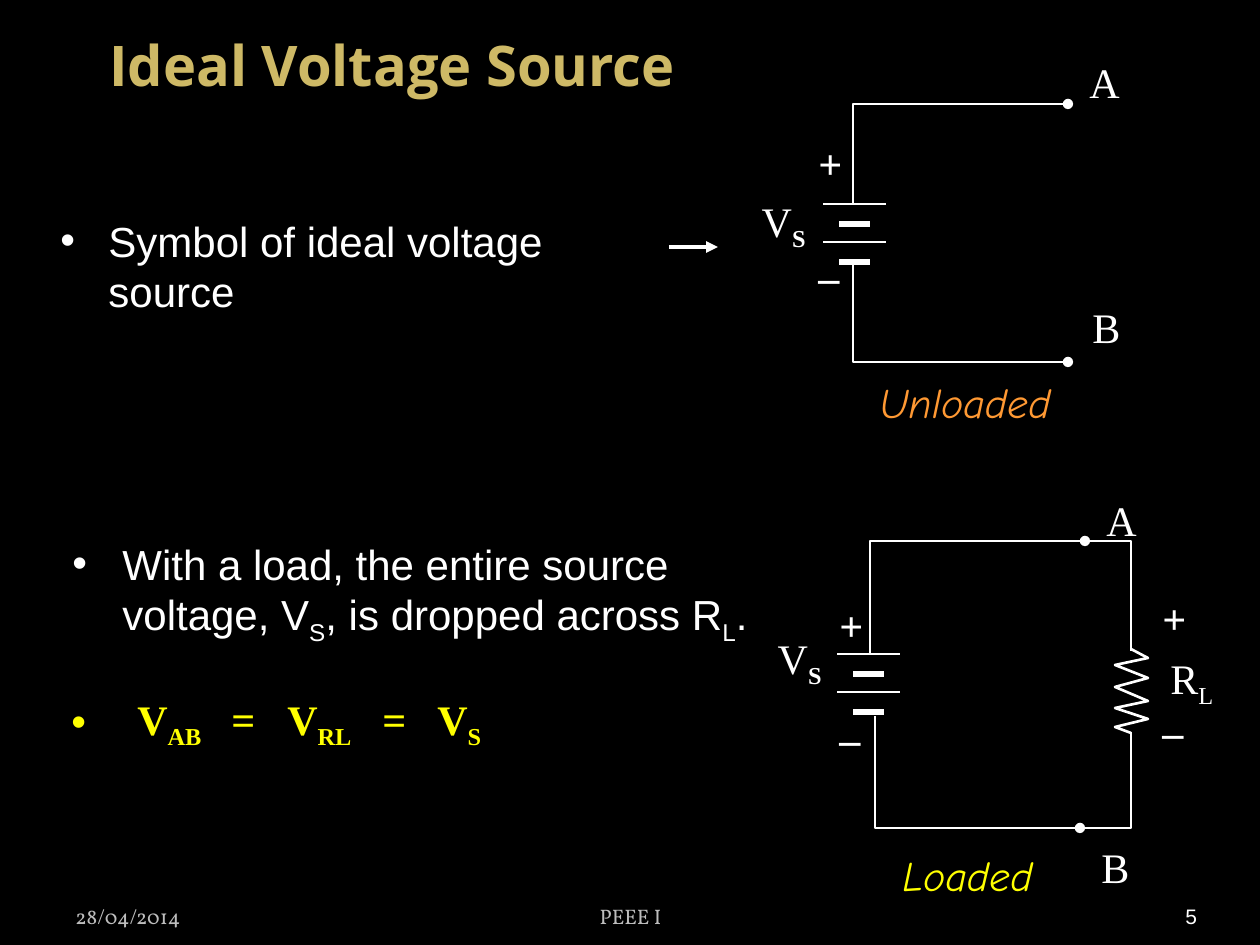
"""Build a slide on the ideal voltage source, unloaded and loaded."""
from lxml import etree
from pptx import Presentation
from pptx.dml.color import RGBColor
from pptx.enum.shapes import MSO_CONNECTOR
from pptx.enum.text import MSO_ANCHOR, PP_ALIGN
from pptx.oxml.ns import qn
from pptx.util import Pt

PX = 914400 // 126
STRAIGHT = MSO_CONNECTOR.STRAIGHT
TOP, MIDDLE, BOTTOM = MSO_ANCHOR.TOP, MSO_ANCHOR.MIDDLE, MSO_ANCHOR.BOTTOM
LEFT, CENTER, RIGHT = PP_ALIGN.LEFT, PP_ALIGN.CENTER, PP_ALIGN.RIGHT
WHITE, YELLOW, GREY = "FFFFFF", "FFFF00", "BDBDBD"
SERIF = {"name": "Times New Roman", "size": Pt(24)}
SANS = {"name": "Arial", "size": Pt(24)}
CAPTION = {"name": "Comic Neue", "size": Pt(24), "italic": True}
FOOTER = {"name": "Vollkorn", "size": Pt(12)}
BOLD = {"bold": True}
SUB = {"sub": True}

deck = Presentation()
deck.slide_width, deck.slide_height = 1260 * PX, 945 * PX
page = deck.slides.add_slide(deck.slide_layouts[6])
page.background.fill.solid()
page.background.fill.fore_color.rgb = RGBColor.from_string("000000")


def add_text(place, lines, font, color=WHITE, align=LEFT, anchor=TOP, wrap=True, gap=0):
    """Add a text box whose lines are lists of (text, format) pairs."""
    box = page.shapes.add_textbox(*(value * PX for value in place))
    frame = box.text_frame
    frame.word_wrap, frame.vertical_anchor = wrap, anchor
    for number, spans in enumerate(lines):
        para = frame.paragraphs[0] if number == 0 else frame.add_paragraph()
        para.alignment = align
        if number:
            para.space_before = Pt(gap)
        for text, extra in spans:
            span = para.add_run()
            span.text = text
            span.font.color.rgb = RGBColor.from_string(color)
            values = {**font, **extra}
            if values.pop("sub", False):
                span.font._element.set("baseline", "-25000")
            for name, value in values.items():
                setattr(span.font, name, value)
    return box


def add_line(points, width=1.5, end=None):
    """Draw a straight connector or a bent open wire through the points."""
    if len(points) == 2:
        (x1, y1), (x2, y2) = points
        shape = page.shapes.add_connector(STRAIGHT, x1 * PX, y1 * PX, x2 * PX, y2 * PX)
    else:
        builder = page.shapes.build_freeform(*points[0], scale=PX)
        builder.add_line_segments(points[1:], close=False)
        shape = builder.convert_to_shape()
        shape.fill.background()
    shape.line.color.rgb = RGBColor.from_string(WHITE)
    shape.line.width = Pt(width)
    if end:
        etree.SubElement(shape.line._ln, qn("a:tailEnd"), type=end)
    etree.SubElement(shape._element.spPr, qn("a:effectLst"))


add_text((44, 1, 697, 127), [[("Ideal Voltage Source", BOLD)]],
         {"name": "Open Sans", "size": Pt(32)}, "CEB966", CENTER, MIDDLE)

symbol = add_text((48, 209, 615, 115), [[("Symbol of ideal voltage source", {})]], SANS)
load = add_text((60, 532, 701, 120), [[
    ("With a load, the entire source voltage, V", {}), ("S", SUB),
    (", is dropped across R", {}), ("L", SUB), (".", {})]], SANS)
equation = add_text((59, 687, 701, 63), [[
    ("\tV", {}), ("AB", SUB), ("\t=\tV", {}), ("RL", SUB),
    ("\t=\tV", {}), ("S", SUB)]], {**SERIF, **BOLD}, YELLOW)

for box, indent, stops in ((symbol, 48, ()), (load, 50, ()),
                           (equation, 0, (66, 160, 216, 311, 366))):
    settings = box.text_frame.paragraphs[0]._p.get_or_add_pPr()
    settings.set("marL", str(indent * PX))
    settings.set("indent", str(-indent * PX))
    etree.SubElement(settings, qn("a:buFont"), typeface="Arial")
    etree.SubElement(settings, qn("a:buChar"), char="•")
    if stops:
        tabs = etree.SubElement(settings, qn("a:tabLst"))
        for stop in stops:
            etree.SubElement(tabs, qn("a:tab"), pos=str(stop * PX), algn="l")

add_line([(669, 247), (718, 247)], 2.25, "triangle")

for left, top in ((823, 204), (837, 654)):
    for step, (inset, width) in zip((0, 20, 38, 58), ((0, 1.5), (16, 3)) * 2):
        add_line([(left + 63 - inset, top + step), (left + inset, top + step)], width)

for wire in ([(853, 203), (853, 104), (1068, 104)],
             [(853, 264), (853, 362), (1068, 362)],
             [(870, 655), (870, 541), (1085, 541)],
             [(875, 716), (875, 828), (1080, 828)]):
    add_line(wire, end="oval")

add_line([(1064, 541), (1131, 541), (1131, 651)])
add_line([(1064, 828), (1131, 828), (1131, 732)])
add_line([(1131, 733), (1115, 727), (1148, 719), (1115, 708), (1148, 701),
          (1115, 687), (1148, 678), (1115, 665), (1148, 658), (1131, 649)])

for left, top in ((741, 189), (757, 626)):
    add_text((left, top, 77, 63), [[("V", {}), ("S", {**BOLD, **SUB})]], SERIF, align=RIGHT)
add_text((1158, 646, 74, 63), [[("R", {}), ("L", SUB)]], SERIF)

for left, top in ((806, 131), (827, 593), (1150, 586)):
    add_text((left, top, 49, 164), [[("+", BOLD)], [("_", BOLD)]], SERIF, wrap=False, gap=28)

for name, left, top in (("A", 1077, 50), ("B", 1080, 295), ("A", 1094, 488), ("B", 1089, 835)):
    add_text((left, top, 55, 63), [[(name, {})]], SERIF, wrap=False)

for name, left, top, color in (("Unloaded", 867, 370, "FF9933"), ("Loaded", 890, 843, YELLOW)):
    add_text((left, top, 224, 63), [[(name, {})]], CAPTION, color)

add_text((63, 885, 294, 50), [[("28/04/2014", {})]], FOOTER, GREY, anchor=BOTTOM)
add_text((431, 885, 399, 50), [[("PEEE I", {})]], FOOTER, GREY, CENTER, BOTTOM)
number_box = add_text((1092, 885, 105, 50), [[("5", {})]],
                      {"name": "Arial", "size": Pt(12)}, align=RIGHT, anchor=BOTTOM)
number_box.text_frame.margin_left = number_box.text_frame.margin_right = 0

deck.save("out.pptx")
